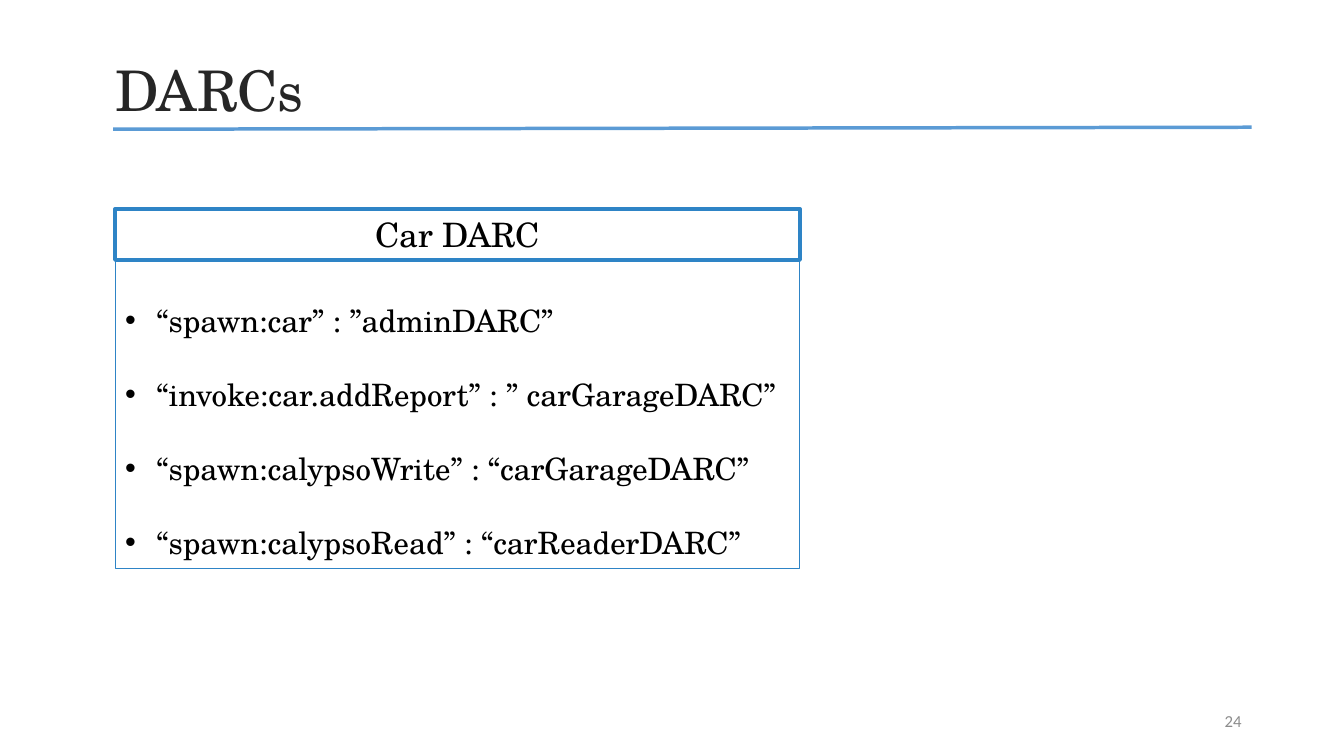
from dataclasses import dataclass

import pptx
import pptx.dml.color
import pptx.enum.shapes
import pptx.enum.text
import pptx.oxml
import pptx.slide
import pptx.util
import lxml.etree

Pt = pptx.util.Pt
Align = pptx.enum.text.PP_ALIGN
Anchor = pptx.enum.text.MSO_ANCHOR

COLOURS = {
    "rule": "5B9BD5",
    "border": "2E84C6",
    "title": "262626",
    "number": "8C8C8C",
    "body": "000000",
}
SERIF = "TeX Gyre Schola"
BULLET_INDENT = 22.5


@dataclass
class TextBlock:
    lines: list[str]
    left: float
    top: float
    width: float
    height: float
    size: float
    colour: str
    font: str = SERIF
    align: Align = Align.LEFT
    anchor: Anchor = Anchor.TOP
    border: float = 0
    spacing: float = 1
    bulleted: bool = False


BLOCKS = [
    TextBlock(["DARCs"], 75.6, 36, 772.5, 91.4, 40, "title"),
    TextBlock(["24"], 678, 500.5, 216, 28.75, 12, "number", "Calibri", Align.RIGHT, Anchor.MIDDLE),
    TextBlock(["Car DARC"], 82.3, 149.3, 489, 36.35, 24, "body", align=Align.CENTER, border=3),
    TextBlock(
        [
            "“spawn:car” : ”adminDARC”",
            "“invoke:car.addReport” : ” carGarageDARC”",
            "“spawn:calypsoWrite” : “carGarageDARC”",
            "“spawn:calypsoRead” : “carReaderDARC”",
        ],
        82.3, 185.65, 489, 220.4, 22, "body", border=0.75, spacing=2, bulleted=True,
    ),
]


def colour_of(name: str) -> pptx.dml.color.RGBColor:
    return pptx.dml.color.RGBColor.from_string(COLOURS[name])


def set_values(target: object, values: dict) -> None:
    for name, value in values.items():
        setattr(target, name, value)


def add_bullet(para) -> None:
    properties = para._p.get_or_add_pPr()
    properties.set("marL", str(Pt(BULLET_INDENT)))
    properties.set("indent", str(-Pt(BULLET_INDENT)))
    for tag, key, value in (("buFont", "typeface", "Arial"), ("buChar", "char", "•")):
        mark = lxml.etree.SubElement(properties, pptx.oxml.ns.qn(f"a:{tag}"))
        mark.set(key, value)


def draw_block(page: pptx.slide.Slide, block: TextBlock) -> None:
    frame = [Pt(length) for length in (block.left, block.top, block.width, block.height)]
    if block.border:
        box = page.shapes.add_shape(pptx.enum.shapes.MSO_SHAPE.RECTANGLE, *frame)
        box.shadow.inherit = False
        box.fill.background()
        box.line.color.rgb = colour_of("border")
        box.line.width = Pt(block.border)
    else:
        box = page.shapes.add_textbox(*frame)
    set_values(box.text_frame, {"word_wrap": True, "vertical_anchor": block.anchor})
    if block.border:
        box.text_frame.auto_size = pptx.enum.text.MSO_AUTO_SIZE.SHAPE_TO_FIT_TEXT
    for index, line in enumerate(block.lines):
        para = box.text_frame.add_paragraph() if index else box.text_frame.paragraphs[0]
        set_values(para, {"alignment": block.align, "line_spacing": float(block.spacing)})
        if block.bulleted:
            add_bullet(para)
        span = para.add_run()
        span.text = line
        set_values(span.font, {"name": block.font, "size": Pt(block.size)})
        span.font.color.rgb = colour_of(block.colour)


def draw_title_rule(page: pptx.slide.Slide) -> None:
    rule = page.shapes.add_connector(
        pptx.enum.shapes.MSO_CONNECTOR.STRAIGHT, Pt(80.9), Pt(92.3), Pt(894), Pt(90.9)
    )
    rule.line.color.rgb = colour_of("rule")
    rule.line.width = Pt(2.5)
    lxml.etree.SubElement(rule._element.spPr, pptx.oxml.ns.qn("a:effectLst"))


def main() -> None:
    deck = pptx.Presentation()
    set_values(deck, {"slide_width": Pt(960), "slide_height": Pt(540)})
    page = deck.slides.add_slide(deck.slide_layouts[6])
    draw_title_rule(page)
    for block in BLOCKS:
        draw_block(page, block)
    deck.save("out.pptx")


if __name__ == "__main__":
    main()
